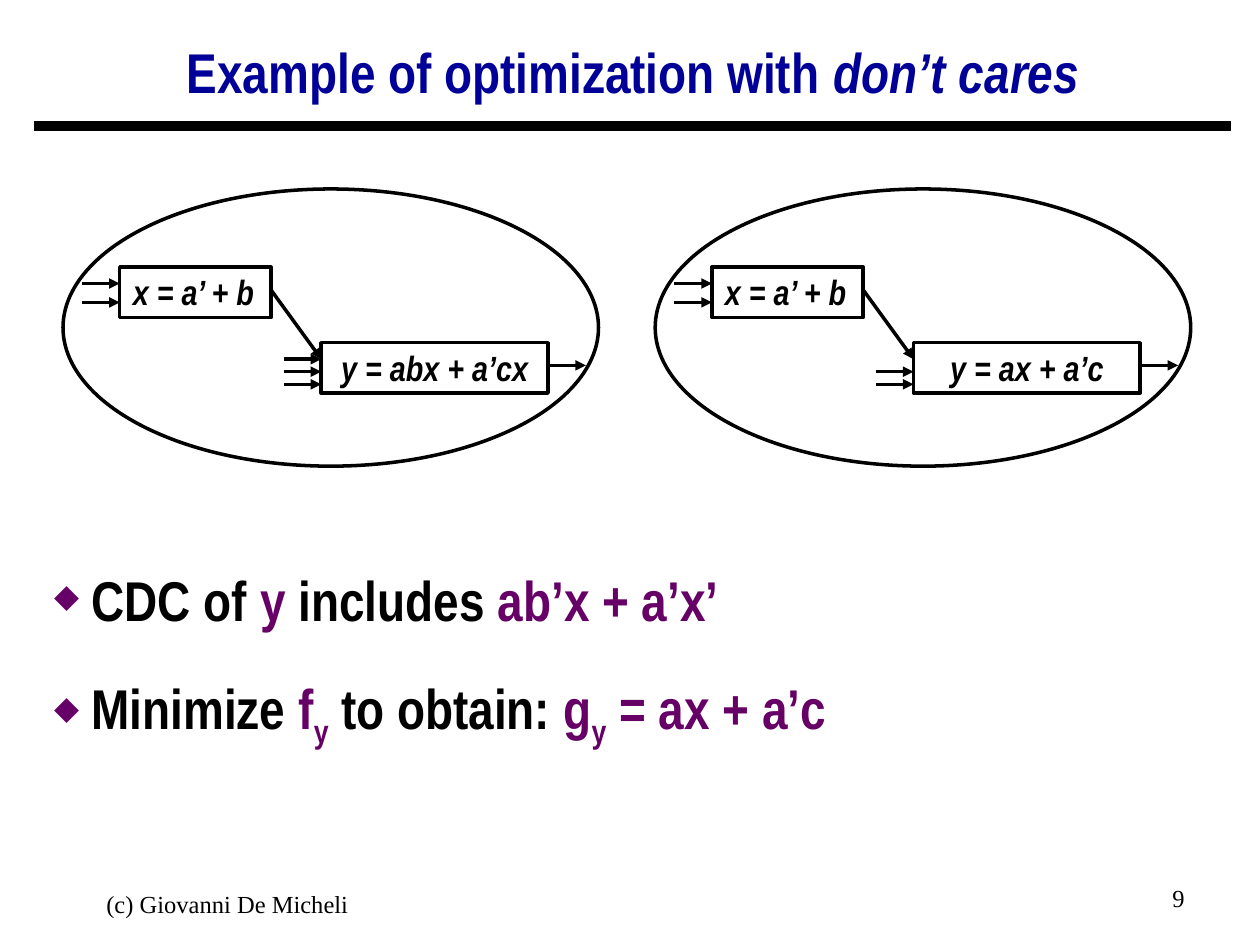
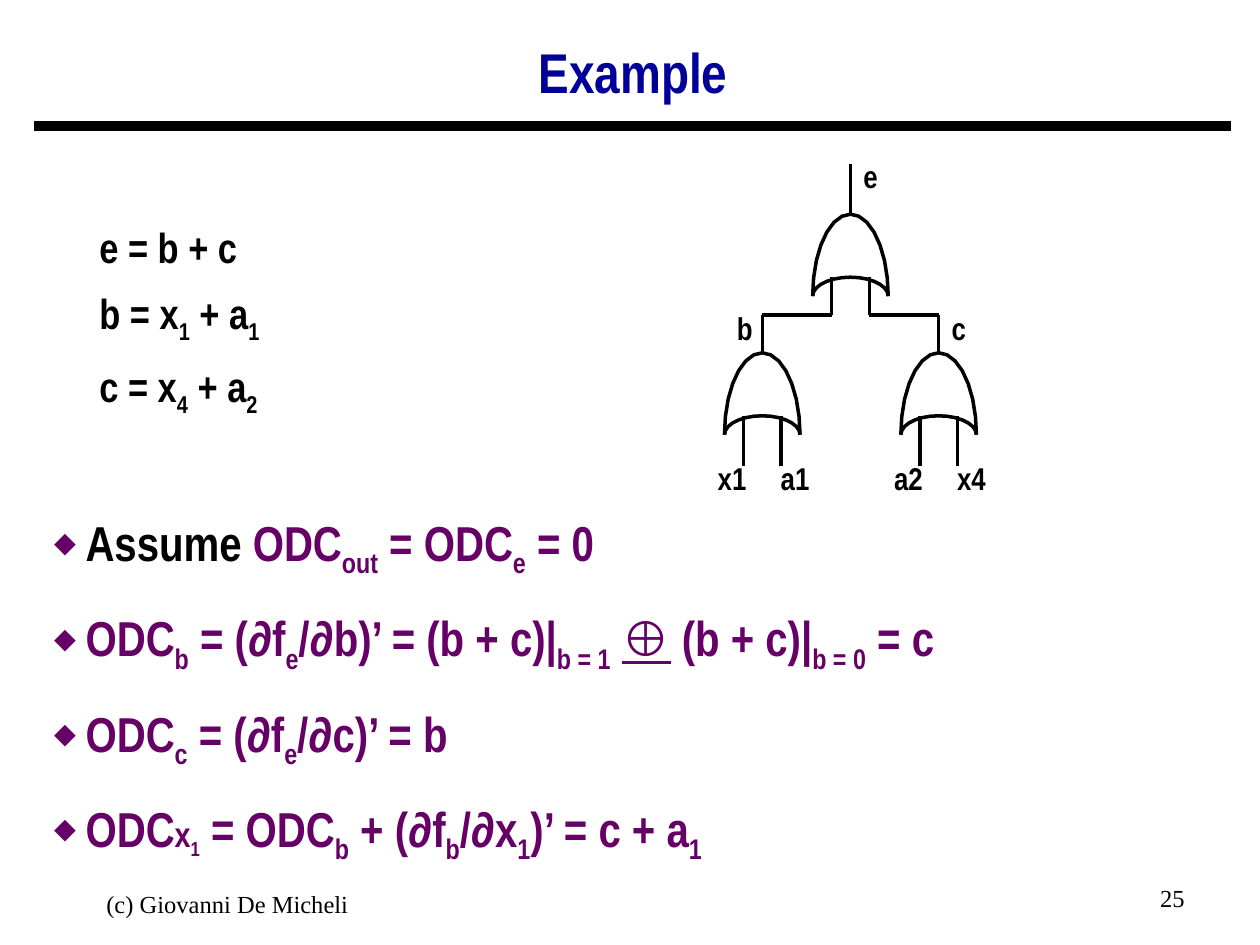
import math

from lxml import etree
from pptx import Presentation
from pptx import util as u
from pptx.dml.color import RGBColor
from pptx.enum import shapes, text
from pptx.oxml import ns

COLORS = {"black": "000000", "title": "000099", "accent": "660066"}
NARROW, SERIF, SANS = "Arial Narrow", "Times New Roman", "Arial"
ALIGN = text.PP_ALIGN
ANCHOR = text.MSO_ANCHOR
LINE_WIDTH = 2


def color(name):
    return RGBColor.from_string(COLORS[name])


def add_xml(parent, tag, **attributes):
    return etree.SubElement(parent, ns.qn(tag), attributes)


def styled(content, **style):
    """Pair a piece of text with the formatting it overrides."""
    return content, style


def accent(content, **style):
    return styled(content, color="accent", **style)


def accent_sub(content):
    return accent(content, sub=True)


def sub(content):
    return styled(content, sub=True)


def add_run(paragraph, content, font=NARROW, size=20, color_name="black", bold=True,
            italic=False, underline=False, subscript=False):
    run = paragraph.add_run()
    run.text = content
    run.font.name, run.font.size = font, u.Pt(size)
    run.font.bold, run.font.italic = bold, italic
    run.font.underline = underline
    run.font.color.rgb = color(color_name)
    if subscript:
        run._r.get_or_add_rPr().set("baseline", "-25000")


def add_diamond_bullet(paragraph, size):
    """Hang the text behind a diamond, with an indent that grows with the text size."""
    properties = paragraph._p.get_or_add_pPr()
    margin = u.Pt(size * 0.85)
    properties.set("marL", str(margin))
    properties.set("indent", str(u.Inches(0.08) - margin))
    bullet_color = add_xml(properties, "a:buClr")
    add_xml(bullet_color, "a:srgbClr", val=COLORS["accent"])
    add_xml(properties, "a:buSzPct", val="58000")
    add_xml(properties, "a:buChar", char="◆")


def add_text(slide, box, paragraphs, align=ALIGN.LEFT, anchor=ANCHOR.TOP, wrap=True,
             spacing=1.0, before=0, bullets=False, **style):
    """Add a text box; each paragraph is a string or a list of strings and styled pieces."""
    frame = slide.shapes.add_textbox(*map(u.Inches, box)).text_frame
    frame.word_wrap = wrap
    frame.vertical_anchor = anchor
    for index, pieces in enumerate(paragraphs):
        paragraph = frame.add_paragraph() if index else frame.paragraphs[0]
        paragraph.alignment = align
        paragraph.line_spacing = spacing
        paragraph.space_before = u.Pt(before if index else 0)
        if bullets:
            add_diamond_bullet(paragraph, style["size"])
        for piece in [pieces] if isinstance(pieces, str) else pieces:
            content, override = styled(piece) if isinstance(piece, str) else piece
            merged = {**style, **override}
            add_run(paragraph, content,
                    color_name=merged.pop("color", "black"),
                    subscript=merged.pop("sub", False), **merged)


def outline(shape):
    shape.shadow.inherit = False
    shape.fill.background()
    shape.line.color.rgb = color("black")
    shape.line.width = u.Pt(LINE_WIDTH)


def add_outlined(slide, kind, box):
    outline(slide.shapes.add_shape(kind, *map(u.Inches, box)))


def add_line(slide, start, end, width=LINE_WIDTH, arrow=False):
    line = slide.shapes.add_connector(
        shapes.MSO_CONNECTOR.STRAIGHT, *map(u.Inches, (*start, *end)))
    line.line.color.rgb = color("black")
    line.line.width = u.Pt(width)
    if arrow:
        add_xml(line.line._get_or_add_ln(), "a:tailEnd", type="triangle")
    add_xml(line._element.spPr, "a:effectLst")


def add_arch(slide, center_x, base_y, radius_x, radius_y, steps=14):
    """Draw the open upper half of an ellipse."""
    points = []
    for step in range(steps + 1):
        angle = math.pi * (1 - step / steps)
        points.append((u.Inches(center_x + radius_x * math.cos(angle)),
                       u.Inches(base_y - radius_y * math.sin(angle))))
    builder = slide.shapes.build_freeform(*points[0])
    builder.add_line_segments(points[1:], close=False)
    outline(builder.convert_to_shape())


def add_or_gate(slide, x, top, output_length, input_length):
    base = top + 0.65
    add_arch(slide, x, base, 0.3, 0.65)
    add_arch(slide, x, base, 0.3, 0.15)
    add_line(slide, (x, top), (x, top - output_length))
    for input_x in (x - 0.15, x + 0.15):
        add_line(slide, (input_x, top + 0.5), (input_x, top + 0.5 + input_length))


def add_network(slide, left, y_formula, y_inputs):
    """Draw node x feeding node y, with the heights of the other inputs of y."""
    add_outlined(slide, shapes.MSO_SHAPE.OVAL, (left, 1.5, 4.25, 2.2))
    x_left, y_left = left + 0.45, left + 2.05
    for formula, node_left, top, width, text_width in (
            ("x = a’ + b", x_left, 2.12, 1.2, 1.17),
            (y_formula, y_left, 2.72, 1.8, 1.8)):
        add_text(slide, (node_left, top - 0.02, text_width, 0.44), [formula],
                 align=ALIGN.CENTER, wrap=False, italic=True)
        add_outlined(slide, shapes.MSO_SHAPE.RECTANGLE, (node_left, top, width, 0.4))
    inputs = [(x_left, y) for y in (2.25, 2.4)] + [(y_left, y) for y in y_inputs]
    for x, y in inputs:
        add_line(slide, (x - 0.3, y), (x, y), arrow=True)
    add_line(slide, (x_left + 1.2, 2.3), (y_left, 2.85), arrow=True)
    add_line(slide, (y_left + 1.8, 2.9), (y_left + 2.1, 2.9), arrow=True)


def add_base_slide(presentation, title, number):
    slide = presentation.slides.add_slide(presentation.slide_layouts[6])
    add_line(slide, (0.27, 1), (9.77, 1), width=6)
    add_text(slide, (0.27, 0.22, 9.51, 0.75), [title], align=ALIGN.CENTER,
             anchor=ANCHOR.MIDDLE, spacing=0.9, size=32, color="title")
    footer = dict(font=SERIF, size=14, bold=False)
    add_text(slide, (0.34, 7.01, 2.93, 0.5), ["(c) Giovanni De Micheli"],
             align=ALIGN.CENTER, **footer)
    add_text(slide, (7.17, 6.96, 2.33, 0.5), [str(number)], align=ALIGN.RIGHT, **footer)
    return slide


def build_dont_cares_slide(presentation):
    title = ["Example of optimization with ", styled("don’t cares", italic=True)]
    slide = add_base_slide(presentation, title, 9)
    add_text(slide, (0.25, 4.31, 9.51, 2.4), [
        ["CDC of ", accent("y"), " includes ", accent("ab’x + a’x’")],
        ["Minimize ", accent("f"), accent_sub("y"), " to obtain: ",
         accent("g"), accent_sub("y"), accent(" = ax + a’c")],
    ], size=32, spacing=1.25, before=12, bullets=True)
    add_network(slide, 0.5, "y = abx + a’cx", (2.85, 2.95, 3.05))
    add_network(slide, 5.2, "y = ax + a’c", (2.95, 3.05))


def build_gates_slide(presentation):
    slide = add_base_slide(presentation, "Example", 25)
    add_text(slide, (0.69, 1.71, 4, 1.8), [
        "e = b + c",
        ["b = x", sub("1"), " + a", sub("1")],
        ["c = x", sub("4"), " + a", sub("2")],
    ], size=24, before=9)
    add_text(slide, (0.25, 3.94, 9.51, 2.93), [
        [styled("Assume ", color="black"), "ODC", sub("out"), " = ODC", sub("e"), " = 0"],
        ["ODC", sub("b"), " = (∂f", sub("e"), "/∂b)’ = (b + c)|", sub("b = 1"), " ",
         styled("⊕", font=SANS, underline=True), " (b + c)|", sub("b = 0"), " = c"],
        ["ODC", sub("c"), " = (∂f", sub("e"), "/∂c)’ = b"],
        ["ODC", styled("x", size=20), styled("1", size=20, sub=True), " = ODC", sub("b"),
         " + (∂f", sub("b"), "/∂x", sub("1"), ")’ = c + a", sub("1")],
    ], size=28, color="accent", spacing=1.15, before=10.5, bullets=True)

    add_or_gate(slide, 6.75, 1.7, output_length=0.4, input_length=0.3)
    for x, joint_x in ((6.05, 6.6), (7.45, 6.9)):
        add_or_gate(slide, x, 2.8, output_length=0.3, input_length=0.4)
        add_line(slide, (x, 2.5), (joint_x, 2.5))
    for label, center_x, top in (("e", 6.91, 1.2), ("b", 5.91, 2.4), ("c", 7.61, 2.4),
                                 ("x1", 5.81, 3.59), ("a1", 6.31, 3.59),
                                 ("a2", 7.21, 3.59), ("x4", 7.71, 3.59)):
        add_text(slide, (center_x - 0.22, top, 0.44, 0.4), [label],
                 align=ALIGN.CENTER, wrap=False, size=18)


def main():
    presentation = Presentation()
    presentation.slide_width, presentation.slide_height = u.Inches(10), u.Inches(7.5)
    build_dont_cares_slide(presentation)
    build_gates_slide(presentation)
    presentation.save("out.pptx")


if __name__ == "__main__":
    main()
